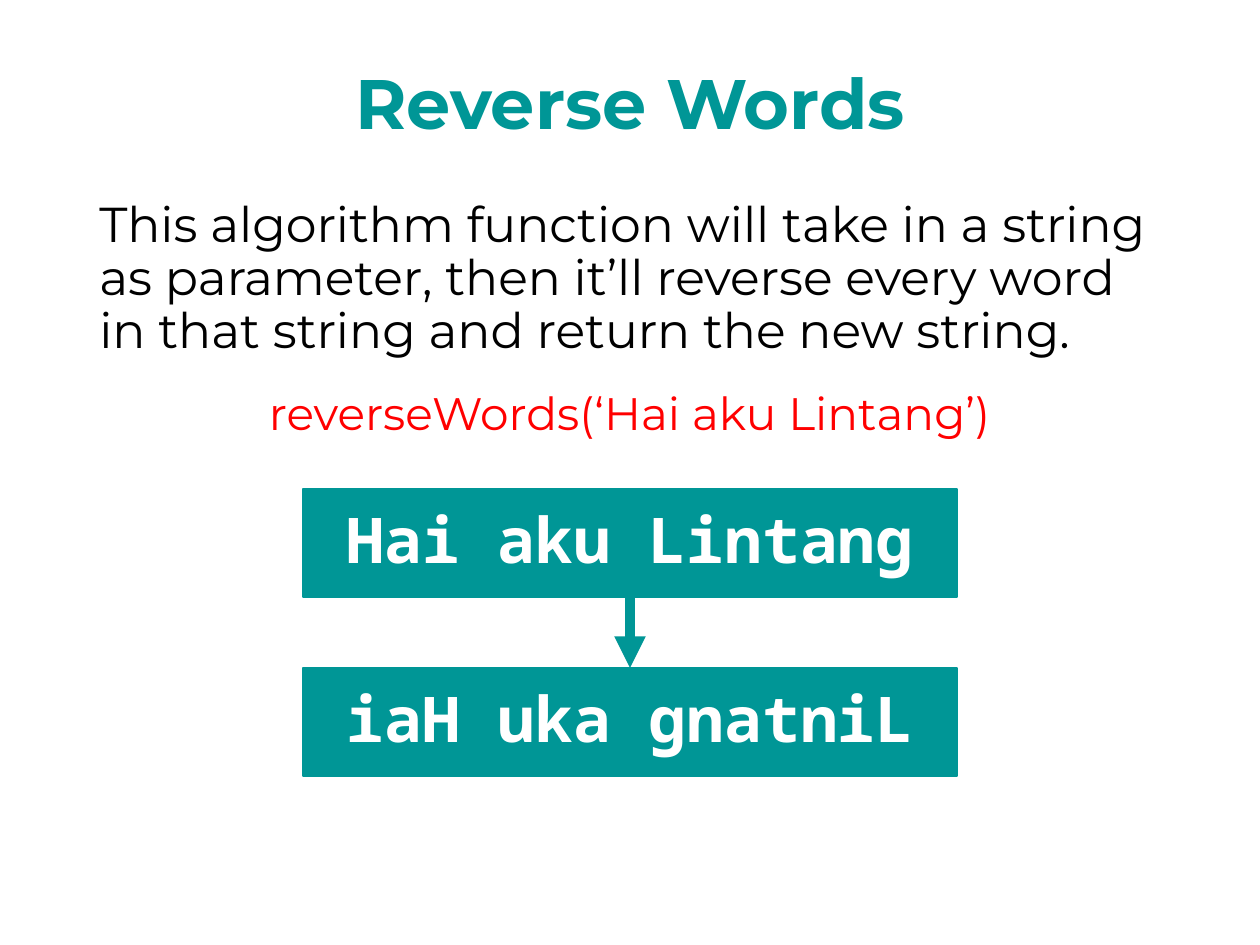
from lxml import etree
from pptx import Presentation
from pptx import util as u
from pptx.dml.color import RGBColor
from pptx.enum import shapes, text
from pptx.oxml.ns import qn

COLORS = {"teal": "009696", "black": "000000", "red": "FF0000", "white": "FFFFFF"}
SANS, MONO = "Montserrat", "Noto Sans Mono"
WIDTH, HEIGHT = 10, 7.5
LEFT, CENTER = text.PP_ALIGN.LEFT, text.PP_ALIGN.CENTER

# wording, (left, top, width, height), size, color, bold, alignment
PASSAGES = [
    ("Reverse Words", (0, 0.09, WIDTH, 1.52), 40, "teal", True, CENTER),
    ("This algorithm function will take in a string as parameter, then it’ll "
     "reverse every word in that string and return the new string.",
     (0.69, 0.95, 8.67, 2.54), 28, "black", False, LEFT),
    ("reverseWords(‘Hai aku Lintang’)", (0, 2.69, WIDTH, 1.22), 26, "red", False, CENTER),
]
STEPS = ["Hai aku Lintang", "iaH uka gnatniL"]
STEP_WIDTH, STEP_HEIGHT = 5.19, 0.86
FIRST_TOP, STEP_PITCH = 3.88, 1.42


def rgb(name):
    """Return the named palette color."""
    return RGBColor.from_string(COLORS[name])


def write(holder, wording, font, size, color, bold, align):
    """Write one vertically centred paragraph into a shape."""
    frame = holder.text_frame
    frame.word_wrap = True
    frame.vertical_anchor = text.MSO_ANCHOR.MIDDLE
    paragraph = frame.paragraphs[0]
    paragraph.alignment, paragraph.line_spacing = align, 0.9
    run = paragraph.add_run()
    run.text = wording
    run.font.name, run.font.size, run.font.bold = font, u.Pt(size), bold
    run.font.color.rgb = rgb(color)


def add_step(slide, index, wording):
    """Add one filled box of the flow, centred on the slide."""
    left, top = (WIDTH - STEP_WIDTH) / 2, FIRST_TOP + index * STEP_PITCH
    step = slide.shapes.add_shape(
        shapes.MSO_SHAPE.RECTANGLE,
        *map(u.Inches, (left, top, STEP_WIDTH, STEP_HEIGHT)))
    step.shadow.inherit = False
    step.fill.solid()
    step.fill.fore_color.rgb = step.line.color.rgb = rgb("teal")
    step.line.width = u.Pt(1)
    write(step, wording, MONO, 36, "white", True, CENTER)
    return step


def add_arrow(slide, source, target):
    """Join the bottom of one step to the top of the next."""
    arrow = slide.shapes.add_connector(shapes.MSO_CONNECTOR.STRAIGHT, 0, 0, 0, 0)
    arrow.begin_connect(source, 2)
    arrow.end_connect(target, 0)
    arrow.line.color.rgb = rgb("teal")
    arrow.line.width = u.Pt(6)
    etree.SubElement(arrow.line._get_or_add_ln(), qn("a:tailEnd"), type="triangle")
    etree.SubElement(arrow._element.spPr, qn("a:effectLst"))


deck = Presentation()
deck.slide_width, deck.slide_height = u.Inches(WIDTH), u.Inches(HEIGHT)
slide = deck.slides.add_slide(deck.slide_layouts[6])

for wording, area, size, color, bold, align in PASSAGES:
    passage = slide.shapes.add_textbox(*map(u.Inches, area))
    write(passage, wording, SANS, size, color, bold, align)

steps = [add_step(slide, index, wording) for index, wording in enumerate(STEPS)]
for source, target in zip(steps, steps[1:]):
    add_arrow(slide, source, target)

deck.save("out.pptx")
